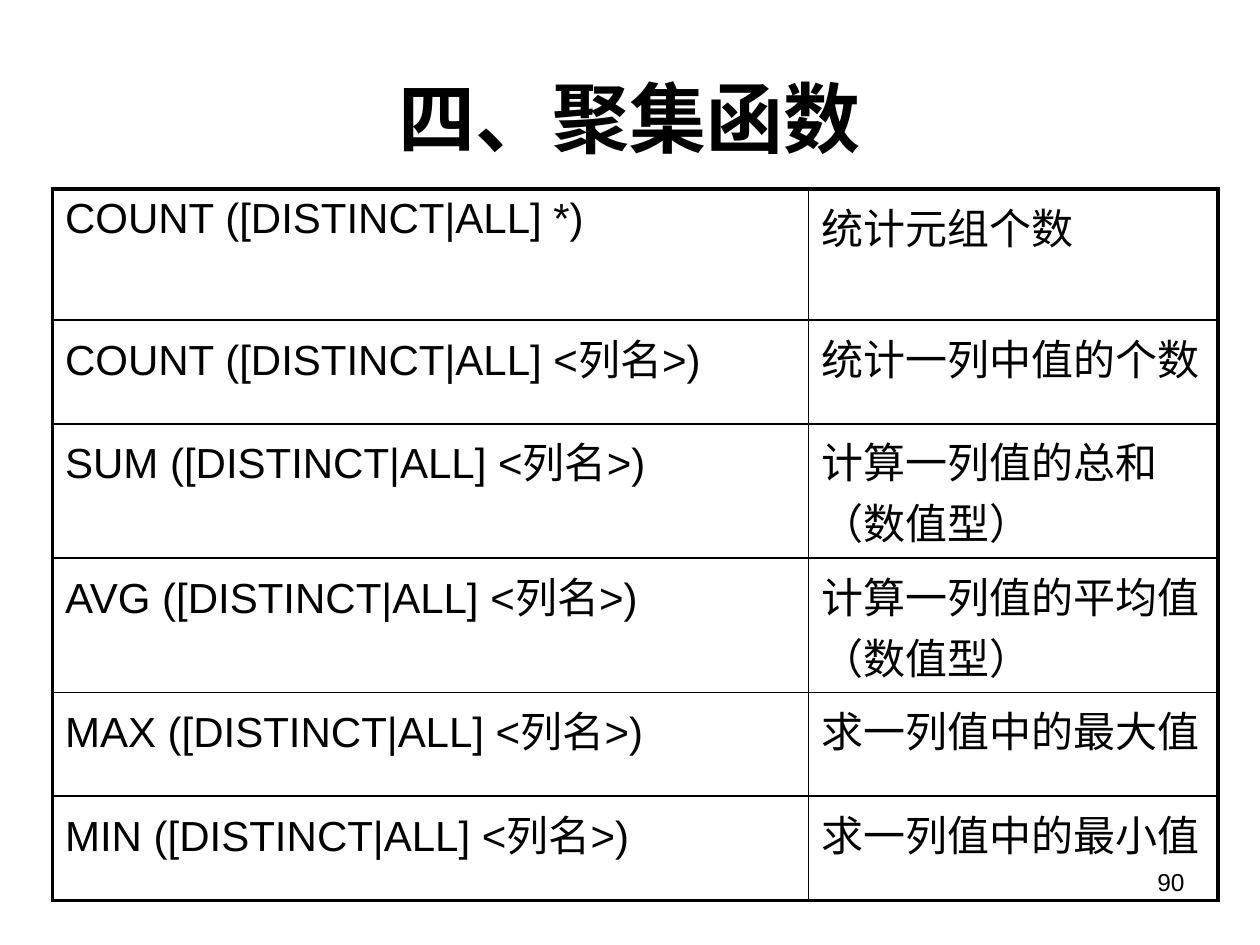
from lxml.etree import SubElement
from pptx import Presentation
from pptx.dml.color import RGBColor
from pptx.enum.text import MSO_ANCHOR, PP_ALIGN
from pptx.oxml.ns import qn
from pptx.util import Pt

BLACK = RGBColor(0, 0, 0)
FONT = "Arial"
THIN, THICK = Pt(1), Pt(2.25)
COLUMN_WIDTHS = [432, 234]
ROW_HEIGHTS = [75, 59.2, 76.8, 76.8, 59.2, 59.6]
FUNCTIONS = [
    ("COUNT ([DISTINCT|ALL] *)", "统计元组个数"),
    ("COUNT ([DISTINCT|ALL] <列名>)", "统计一列中值的个数"),
    ("SUM ([DISTINCT|ALL] <列名>)", "计算一列值的总和（数值型）"),
    ("AVG ([DISTINCT|ALL] <列名>)", "计算一列值的平均值（数值型）"),
    ("MAX ([DISTINCT|ALL] <列名>)", "求一列值中的最大值"),
    ("MIN ([DISTINCT|ALL] <列名>)", "求一列值中的最小值"),
]


def write(frame, text, size, align, bold=False):
    frame.word_wrap = True
    para = frame.paragraphs[0]
    para.alignment = align
    span = para.add_run()
    span.text = text
    span.font.name = FONT
    span.font.size = Pt(size)
    span.font.bold = bold
    span.font.color.rgb = BLACK


def add_title(page, text):
    title = page.shapes.title
    title.left, title.top, title.width, title.height = Pt(36), Pt(21.6), Pt(648), Pt(90)
    title.text_frame.vertical_anchor = MSO_ANCHOR.MIDDLE
    write(title.text_frame, text, 44, PP_ALIGN.CENTER, bold=True)


def add_page_number(page, text):
    box = page.shapes.add_textbox(Pt(516), Pt(492), Pt(168), Pt(37.5))
    write(box.text_frame, text, 14, PP_ALIGN.RIGHT)


def set_borders(cell, outer_sides):
    properties = cell._tc.get_or_add_tcPr()
    for side, is_outer in outer_sides.items():
        width = THICK if is_outer else THIN
        line = SubElement(properties, qn(f"a:ln{side}"), w=str(width))
        fill = SubElement(line, qn("a:solidFill"))
        SubElement(fill, qn("a:srgbClr"), val=str(BLACK))


def add_function_table(page):
    last_row, last_column = len(FUNCTIONS) - 1, len(COLUMN_WIDTHS) - 1
    frame = page.shapes.add_table(
        len(FUNCTIONS), len(COLUMN_WIDTHS), Pt(30), Pt(108),
        Pt(sum(COLUMN_WIDTHS)), Pt(sum(ROW_HEIGHTS)))
    table = frame.table
    table.first_row = table.horz_banding = False
    for column, width in zip(table.columns, COLUMN_WIDTHS):
        column.width = Pt(width)
    for row, height in zip(table.rows, ROW_HEIGHTS):
        row.height = Pt(height)
    for i, texts in enumerate(FUNCTIONS):
        for j, text in enumerate(texts):
            cell = table.cell(i, j)
            write(cell.text_frame, text, 24, PP_ALIGN.LEFT)
            set_borders(cell, {"L": j == 0, "R": j == last_column,
                               "T": i == 0, "B": i == last_row})
            cell.fill.background()


def main():
    deck = Presentation()
    deck.slide_width, deck.slide_height = Pt(720), Pt(540)
    page = deck.slides.add_slide(deck.slide_layouts[5])
    add_page_number(page, "90")
    add_title(page, "四、聚集函数")
    add_function_table(page)
    deck.save("out.pptx")


if __name__ == "__main__":
    main()
